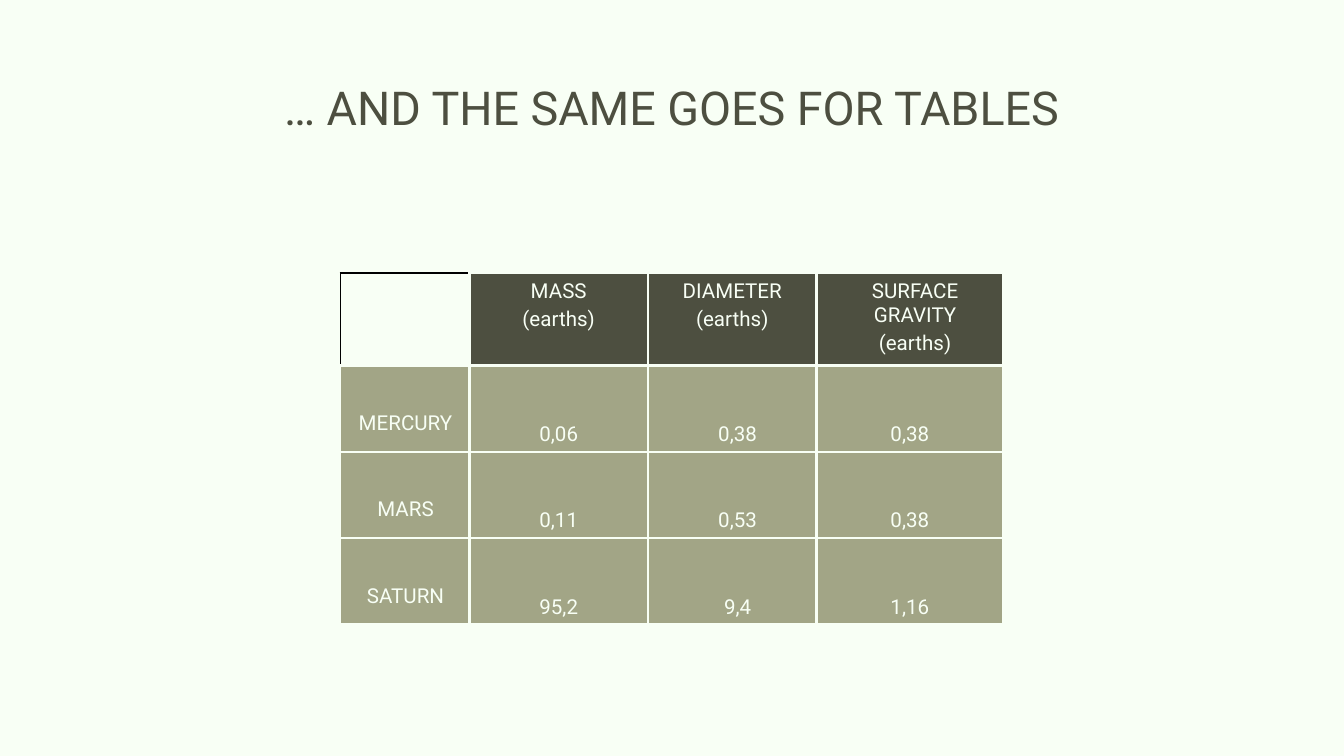
from lxml.etree import SubElement
from pptx import Presentation
from pptx.dml.color import RGBColor
from pptx.enum.text import MSO_ANCHOR as ANCHOR, PP_ALIGN as ALIGN
from pptx.oxml.ns import qn
from pptx.util import Cm, Pt

COLORS = {
    "paper": "F8FFF5",
    "dark": "4D4F40",
    "olive": "A2A586",
    "black": "000000",
}
FONT = "Roboto"
COL_WIDTHS = [2.44, 3.38, 3.18, 3.53]
ROW_HEIGHTS = [1.75, 1.63, 1.63, 1.63]
HEADERS = ["MASS", "DIAMETER", "SURFACE GRAVITY"]
PLANETS = [
    ("MERCURY", "0,06", "0,38", "0,38"),
    ("MARS", "0,11", "0,53", "0,38"),
    ("SATURN", "95,2", "9,4", "1,16"),
]
HEADER_INDENTS = [0, 0, 0.2]
BODY_INDENTS = [0.03, 0, 0.2, 0]


def rgb(name):
    return RGBColor.from_string(COLORS[name])


def write(p, text, size, color, indent=0):
    p.alignment = ALIGN.CENTER
    if indent:
        pPr = p._p.get_or_add_pPr()
        pPr.set("marL", str(Cm(indent)))
        pPr.set("indent", "0")
    r = p.add_run()
    r.text = text
    r.font.name = FONT
    r.font.size = Pt(size)
    r.font.bold = False
    r.font.color.rgb = rgb(color)


def add_title(s, text):
    sp = s.shapes.add_textbox(Cm(1.96), Cm(1.5), Cm(21.46), Cm(2.54))
    tf = sp.text_frame
    tf.word_wrap = True
    tf.margin_left = tf.margin_right = tf.margin_top = tf.margin_bottom = 0
    write(tf.paragraphs[0], text, 25, "dark")


def set_borders(cell, **special):
    tcPr = cell._tc.get_or_add_tcPr()
    for side in "LRTB":
        color, width = special.get(side, ("paper", 1.47))
        ln = SubElement(tcPr, qn(f"a:ln{side}"), w=str(Pt(width)))
        fill = SubElement(ln, qn("a:solidFill"))
        SubElement(fill, qn("a:srgbClr"), val=COLORS[color])


def fill_cell(cell, color, lines, top, indent):
    set_borders(cell)
    cell.fill.solid()
    cell.fill.fore_color.rgb = rgb(color)
    cell.vertical_anchor = ANCHOR.TOP
    cell.margin_top = Cm(top)
    cell.margin_bottom = 0
    tf = cell.text_frame
    for i, line in enumerate(lines):
        p = tf.add_paragraph() if i else tf.paragraphs[0]
        write(p, line, 11, "paper", indent)
        if i:
            p.space_before = Pt(2)


def add_planet_table(s):
    frame = s.shapes.add_table(
        len(ROW_HEIGHTS), len(COL_WIDTHS), Cm(6.43), Cm(5.16),
        Cm(sum(COL_WIDTHS)), Cm(sum(ROW_HEIGHTS)))
    table = frame.table
    table.first_row = table.horz_banding = False
    for col, width in zip(table.columns, COL_WIDTHS):
        col.width = Cm(width)
    for row, height in zip(table.rows, ROW_HEIGHTS):
        row.height = Cm(height)

    corner = table.cell(0, 0)
    set_borders(corner, L=("black", 0.75), T=("black", 0.75))
    corner.fill.background()

    for c, (name, indent) in enumerate(zip(HEADERS, HEADER_INDENTS), 1):
        fill_cell(table.cell(0, c), "dark", [name, "(earths)"], 0.13, indent)
    for r, planet in enumerate(PLANETS, 1):
        for c, (text, indent) in enumerate(zip(planet, BODY_INDENTS)):
            top = 1.08 if c else 0.87
            fill_cell(table.cell(r, c), "olive", [text], top, indent)


def main():
    prs = Presentation()
    prs.slide_width, prs.slide_height = Cm(25.4), Cm(14.29)
    s = prs.slides.add_slide(prs.slide_layouts[6])
    s.background.fill.solid()
    s.background.fill.fore_color.rgb = rgb("paper")
    add_title(s, "… AND THE SAME GOES FOR TABLES")
    add_planet_table(s)
    prs.save("out.pptx")


if __name__ == "__main__":
    main()
